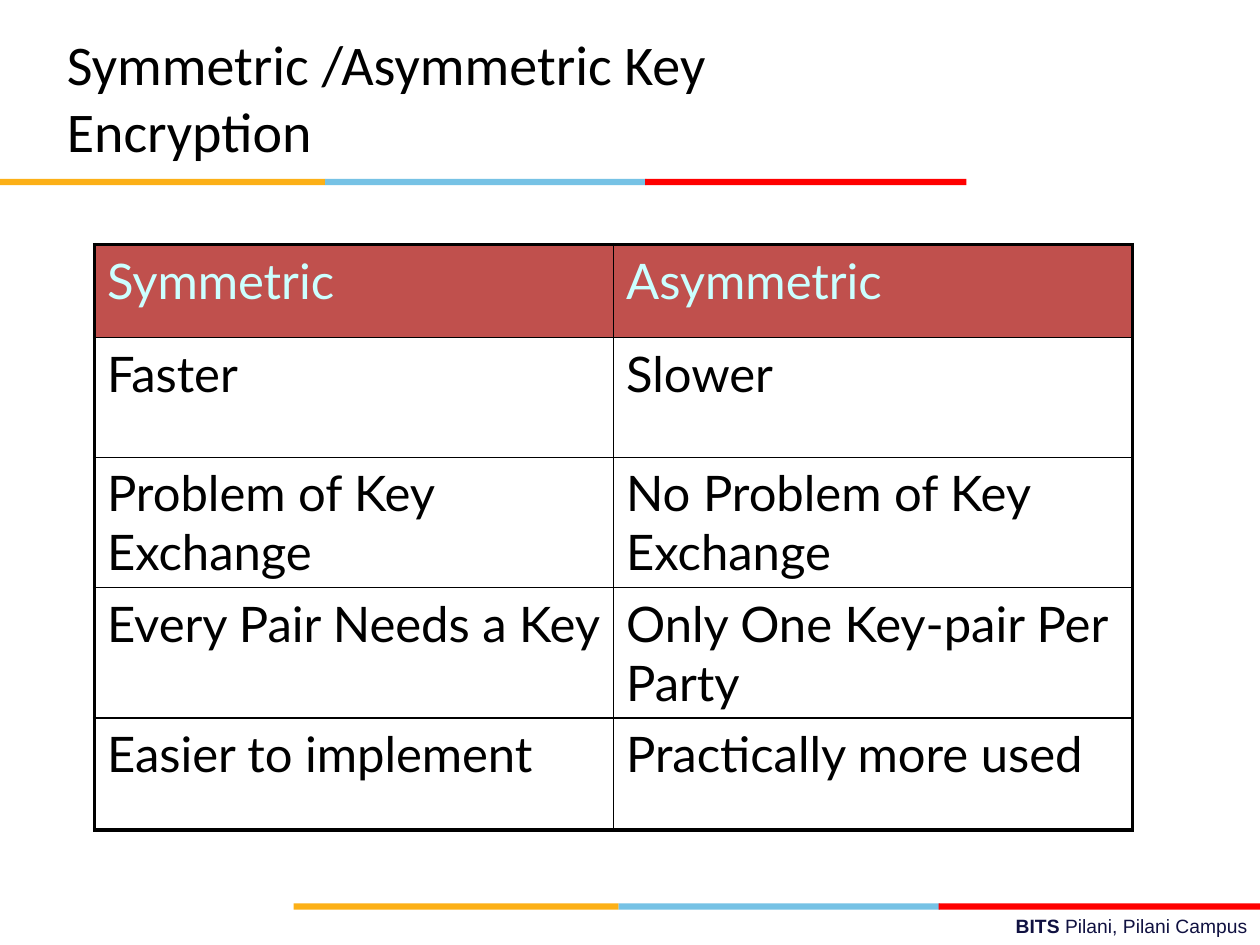
from dataclasses import dataclass

from lxml import etree
from pptx import Presentation
from pptx.dml import color
from pptx.enum import shapes, text
from pptx.oxml import ns
from pptx.util import Inches, Pt


@dataclass(frozen=True)
class Theme:
    black: str = "000000"
    navy: str = "101141"
    gold: str = "FCB017"
    blue: str = "76C2E5"
    red: str = "FF0000"
    header_fill: str = "C0504D"
    header_text: str = "CCFFFF"
    cell_fill: str = "FFFFFF"
    title_size: float = 32
    table_size: float = 28
    footer_size: float = 11
    thick: float = 2.25
    thin: float = 1
    title_font: str = "Calibri"
    table_font: str = "Lato"
    footer_font: str = "Arial"


@dataclass(frozen=True)
class Band:
    left: float
    width: float
    fill: str


THEME = Theme()
BANDS = (
    Band(0, 2.58, THEME.gold),
    Band(2.58, 2.55, THEME.blue),
    Band(5.12, 2.55, THEME.red),
)
ROWS = (
    ("Symmetric", "Asymmetric"),
    ("Faster", "Slower"),
    ("Problem of Key Exchange", "No Problem of Key Exchange"),
    ("Every Pair Needs a Key", "Only One Key-pair Per Party"),
    ("Easier to implement", "Practically more used"),
)
ROW_HEIGHTS = (0.74, 0.95, 0.89, 0.89, 0.89)
COLUMN_WIDTH = 4.12


def add_span(para, words: str, font: str, size: float, ink: str, bold: bool = False) -> None:
    span = para.add_run()
    span.text = words
    formats = {"name": font, "size": Pt(size), "bold": bold}
    for name, value in formats.items():
        setattr(span.font, name, value)
    span.font.color.rgb = color.RGBColor.from_string(ink)


def draw_strip(page, left: float, top: float) -> None:
    for band in BANDS:
        bar = page.shapes.add_shape(
            shapes.MSO_SHAPE.RECTANGLE,
            Inches(left + band.left), Inches(top), Inches(band.width), Inches(0.05),
        )
        bar.shadow.inherit = False
        bar.fill.solid()
        bar.fill.fore_color.rgb = color.RGBColor.from_string(band.fill)
        bar.line.fill.background()


def draw_title(page) -> None:
    title = page.shapes.title
    place = {"left": 0.43, "top": 0.3, "width": 6.69, "height": 0.93}
    for name, value in place.items():
        setattr(title, name, Inches(value))
    frame = title.text_frame
    formats = {
        "word_wrap": True,
        "auto_size": text.MSO_AUTO_SIZE.NONE,
        "vertical_anchor": text.MSO_ANCHOR.MIDDLE,
    }
    for name, value in formats.items():
        setattr(frame, name, value)
    para = frame.paragraphs[0]
    para.alignment = text.PP_ALIGN.LEFT
    add_span(para, "Symmetric /Asymmetric Key Encryption",
             THEME.title_font, THEME.title_size, THEME.black)


def draw_footer(page) -> None:
    box = page.shapes.add_textbox(Inches(3.58), Inches(7.21), Inches(6.42), Inches(0.29))
    box.text_frame.word_wrap = True
    para = box.text_frame.paragraphs[0]
    para.alignment = text.PP_ALIGN.RIGHT
    for words, bold in (("BITS ", True), ("Pilani, Pilani Campus", False)):
        add_span(para, words, THEME.footer_font, THEME.footer_size, THEME.navy, bold)


def set_borders(cell, outer: dict[str, bool]) -> None:
    properties = cell._tc.get_or_add_tcPr()
    for position, (side, is_outer) in enumerate(outer.items()):
        width = Pt(THEME.thick if is_outer else THEME.thin)
        line = etree.Element(ns.qn(f"a:{side}"), w=str(width))
        fill = etree.SubElement(line, ns.qn("a:solidFill"))
        etree.SubElement(fill, ns.qn("a:srgbClr"), val=THEME.black)
        properties.insert(position, line)


def draw_table(page) -> None:
    frame = page.shapes.add_table(
        len(ROWS), len(ROWS[0]), Inches(0.75), Inches(1.94),
        Inches(COLUMN_WIDTH * len(ROWS[0])), Inches(sum(ROW_HEIGHTS)),
    )
    table = frame.table
    table.horz_banding = False
    for column in table.columns:
        column.width = Inches(COLUMN_WIDTH)
    for row_index, (words, height) in enumerate(zip(ROWS, ROW_HEIGHTS)):
        table.rows[row_index].height = Inches(height)
        header = row_index == 0
        for column_index, label in enumerate(words):
            cell = table.cell(row_index, column_index)
            cell.fill.solid()
            cell.fill.fore_color.rgb = color.RGBColor.from_string(
                THEME.header_fill if header else THEME.cell_fill)
            add_span(cell.text_frame.paragraphs[0], label, THEME.table_font,
                     THEME.table_size, THEME.header_text if header else THEME.black)
            set_borders(cell, {
                "lnL": column_index == 0,
                "lnR": column_index == len(words) - 1,
                "lnT": header,
                "lnB": row_index == len(ROWS) - 1,
            })


def main() -> None:
    deck = Presentation()
    deck.slide_width, deck.slide_height = Inches(10), Inches(7.5)
    page = deck.slides.add_slide(deck.slide_layouts[5])
    draw_footer(page)
    draw_strip(page, 2.33, 7.17)
    draw_strip(page, 0, 1.42)
    draw_title(page)
    draw_table(page)
    deck.save("out.pptx")


if __name__ == "__main__":
    main()
